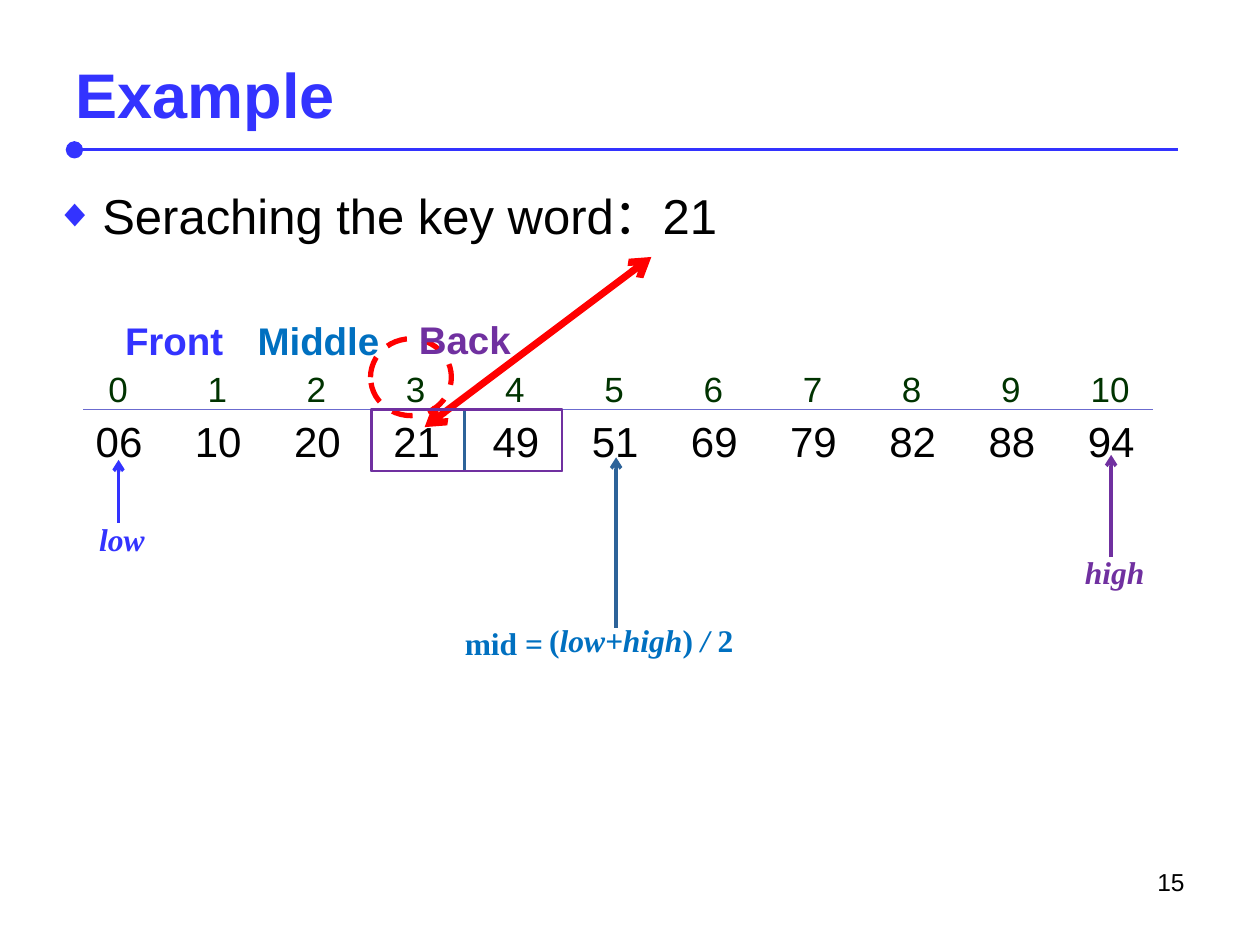
import dataclasses

import lxml.etree
import pptx
import pptx.dml.color
import pptx.enum.dml
import pptx.enum.shapes
import pptx.enum.text
import pptx.oxml.ns
import pptx.util

Cm = pptx.util.Cm
Pt = pptx.util.Pt
qn = pptx.oxml.ns.qn
ALIGN = pptx.enum.text.PP_ALIGN
ANCHOR = pptx.enum.text.MSO_ANCHOR
SHAPE = pptx.enum.shapes.MSO_SHAPE


@dataclasses.dataclass(frozen=True)
class Theme:
    sans: str = "Arial"
    serif: str = "Times New Roman"
    black: str = "000000"
    blue: str = "3333FF"
    rule: str = "6B6BCF"
    index: str = "003300"
    middle: str = "0070C0"
    pointer: str = "2D6399"
    purple: str = "7030A0"
    red: str = "FF0000"
    title_size: int = 36
    body_size: int = 28
    value_size: int = 24
    part_size: int = 22
    index_size: int = 20
    label_size: int = 18
    page_size: int = 14


class SlideBuilder:
    def __init__(self, slide, theme):
        self.slide = slide
        self.theme = theme

    def place(self, shape, box):
        for side, length in zip(("left", "top", "width", "height"), box):
            setattr(shape, side, Cm(length))

    def add_runs(self, paragraph, runs, size, color, font=None, bold=False):
        for text, italic in runs:
            run = paragraph.add_run()
            run.text = text
            formats = {
                "name": font or self.theme.sans,
                "size": Pt(size),
                "bold": bold,
                "italic": italic,
            }
            for attribute, value in formats.items():
                setattr(run.font, attribute, value)
            run.font.color.rgb = pptx.dml.color.RGBColor.from_string(color)

    def title(self, text, box):
        heading = self.slide.shapes.title
        self.place(heading, box)
        heading.text_frame.vertical_anchor = ANCHOR.MIDDLE
        paragraph = heading.text_frame.paragraphs[0]
        paragraph.alignment = ALIGN.LEFT
        self.add_runs(paragraph, [(text, False)], self.theme.title_size,
                      self.theme.blue, bold=True)

    def bullet(self, text, box):
        body = self.slide.placeholders[1]
        self.place(body, box)
        paragraph = body.text_frame.paragraphs[0]
        paragraph.space_before = Pt(0)
        properties = paragraph._p.get_or_add_pPr()
        properties.set("marL", str(Cm(0.95)))
        properties.set("indent", str(-Cm(0.95)))
        bullet_color = lxml.etree.SubElement(properties, qn("a:buClr"))
        lxml.etree.SubElement(bullet_color, qn("a:srgbClr"), val=self.theme.blue)
        lxml.etree.SubElement(properties, qn("a:buSzPct"), val="80000")
        lxml.etree.SubElement(properties, qn("a:buChar"), char="◆")
        self.add_runs(paragraph, [(text, False)], self.theme.body_size,
                      self.theme.black)

    def text(self, runs, box, size, color, align=ALIGN.LEFT, wrap=False, **style):
        frame = self.slide.shapes.add_textbox(*map(Cm, box)).text_frame
        frame.word_wrap = wrap
        frame.paragraphs[0].alignment = align
        self.add_runs(frame.paragraphs[0], runs, size, color, **style)

    def label(self, runs, box, color):
        self.text(runs, box, self.theme.label_size, color,
                  font=self.theme.serif, bold=True)

    def line(self, start, end, color, width, head=None, tail=None, end_size="med"):
        connector = self.slide.shapes.add_connector(
            pptx.enum.shapes.MSO_CONNECTOR.STRAIGHT, *map(Cm, start + end))
        connector.line.color.rgb = pptx.dml.color.RGBColor.from_string(color)
        connector.line.width = Pt(width)
        outline = connector.line._get_or_add_ln()
        for tag, kind in (("a:headEnd", head), ("a:tailEnd", tail)):
            if kind:
                lxml.etree.SubElement(outline, qn(tag), type=kind,
                                      w=end_size, len=end_size)
        lxml.etree.SubElement(connector._element.spPr, qn("a:effectLst"))

    def frame(self, kind, box, color, width, dash=None):
        shape = self.slide.shapes.add_shape(kind, *map(Cm, box))
        shape.shadow.inherit = False
        shape.fill.background()
        shape.line.color.rgb = pptx.dml.color.RGBColor.from_string(color)
        formats = {"width": Pt(width), "dash_style": dash}
        for attribute, value in formats.items():
            setattr(shape.line, attribute, value)


def main():
    deck = pptx.Presentation()
    deck.slide_width = Cm(25.4)
    deck.slide_height = Cm(19.05)
    theme = Theme()
    page = SlideBuilder(deck.slides.add_slide(deck.slide_layouts[1]), theme)

    array_top = 8.26
    column_step = 2
    page.line((1.5, 3.02), (23.75, 3.02), theme.blue, 1.5,
              head="oval", end_size="lg")
    page.line((1.68, array_top), (23.24, array_top), theme.rule, 0.75)
    page.title("Example", (1.27, 0.76, 22.86, 2.24))

    values = ("06", "10", "20", "21", "49", "51", "69", "79", "82", "88", "94")
    for index, value in enumerate(values):
        offset = index * column_step
        page.text([(value, False)], (1.68 + offset, array_top, 1.47, 1.27),
                  theme.value_size, theme.black)
        index_width = 0.91 if index < 10 else 1.3
        page.text([(str(index), False)],
                  (2.38 + offset - index_width / 2, 7.29, index_width, 1.12),
                  theme.index_size, theme.index, align=ALIGN.CENTER)

    pointers = (
        (2.39, 10.54, 9.27, theme.blue),
        (22.4, 11.23, 9.17, theme.purple),
        (12.42, 12.65, 9.22, theme.pointer),
    )
    for x, bottom, top, color in pointers:
        page.line((x, bottom), (x, top), color, 2, tail="arrow")

    midpoint = [("(", False), ("low+high", True), (") ", False),
                ("/ ", True), ("2", False)]
    labels = (
        ([("low", True)], (1.75, 10.36, 1.47, 1.02), theme.blue),
        ([("high", True)], (21.62, 11.02, 1.73, 1.02), theme.purple),
        (midpoint, (10.82, 12.4, 4.27, 1.02), theme.middle),
        ([("mid =", False)], (9.12, 12.45, 2.26, 1.02), theme.middle),
    )
    for runs, box, color in labels:
        page.label(runs, box, color)

    back_left, cell_width, cell_height = 7.49, 1.88, 1.24
    back_width = 3.84
    page.frame(SHAPE.RECTANGLE,
               (back_left + cell_width, array_top, back_width - cell_width, cell_height),
               theme.purple, 1.5)
    page.frame(SHAPE.RECTANGLE, (back_left, array_top, cell_width, cell_height),
               theme.pointer, 1.5)
    page.line((8.56, 8.61), (13.13, 5.18), theme.red, 4, head="arrow", tail="arrow")
    page.frame(SHAPE.OVAL, (7.47, 6.83, 1.63, 1.55), theme.red, 3,
               dash=pptx.enum.dml.MSO_LINE.DASH)
    page.frame(SHAPE.RECTANGLE, (back_left, array_top, back_width, cell_height),
               theme.purple, 1.5)

    page.text([("15", False)], (18.21, 17.35, 5.92, 1.32), theme.page_size,
              theme.black, align=ALIGN.RIGHT, wrap=True)
    page.bullet("Seraching the key word：21", (0.86, 3.61, 16.28, 1.57))

    parts = (
        ("Front", (2.06, 6.27, 2.9, 1.14), theme.blue),
        ("Back", (7.92, 6.25, 2.9, 1.14), theme.purple),
        ("Middle", (4.78, 6.27, 3.28, 1.14), theme.middle),
    )
    for name, box, color in parts:
        page.text([(name, False)], box, theme.part_size, color,
                  align=ALIGN.CENTER, wrap=True, bold=True)

    deck.save("out.pptx")


if __name__ == "__main__":
    main()
